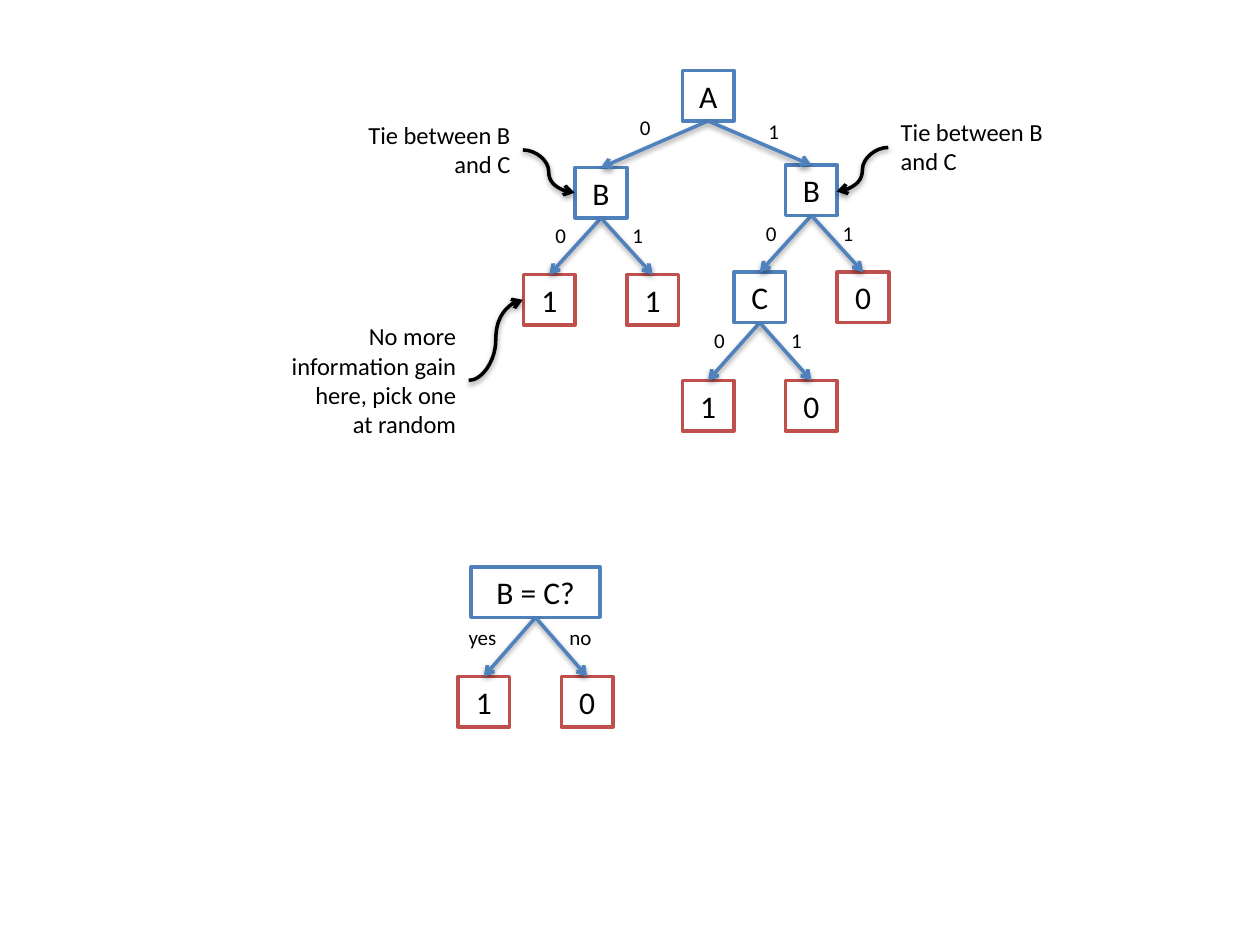
from dataclasses import dataclass
from lxml.etree import SubElement
from pptx import Presentation
from pptx.dml.color import RGBColor
from pptx.enum.shapes import MSO_CONNECTOR, MSO_SHAPE
from pptx.enum.text import MSO_ANCHOR, PP_ALIGN
from pptx.oxml.ns import qn
from pptx.util import Inches, Pt


@dataclass(frozen=True)
class Theme:
    """Colours, type sizes and common measures in points and inches."""
    font: str = "Calibri"
    ink: RGBColor = RGBColor(0, 0, 0)
    paper: RGBColor = RGBColor(255, 255, 255)
    split: RGBColor = RGBColor(0x4F, 0x81, 0xBD)
    leaf: RGBColor = RGBColor(0xC0, 0x50, 0x4D)
    node_size: int = 18
    note_size: int = 14
    label_size: int = 12
    stroke: int = 2
    node_width: float = 0.41
    node_height: float = 0.4


class TreeSlide:
    """Draws decision trees on one slide."""

    def __init__(self, slide, theme):
        """Keep the slide and its style."""
        self.shapes = slide.shapes
        self.theme = theme

    def fill_text(self, frame, text, size, align, anchor):
        """Fill a text frame with one styled paragraph."""
        for name, value in {"word_wrap": True, "vertical_anchor": anchor}.items():
            setattr(frame, name, value)
        paragraph = frame.paragraphs[0]
        paragraph.alignment = align
        run = paragraph.add_run()
        run.text = text
        for name, value in {"name": self.theme.font, "size": Pt(size)}.items():
            setattr(run.font, name, value)
        run.font.color.rgb = self.theme.ink

    def node(self, text, center, top, color, width=None):
        """Add a boxed tree node, centred horizontally on a point."""
        width = width or self.theme.node_width
        box = self.shapes.add_shape(
            MSO_SHAPE.RECTANGLE, Inches(center - width / 2), Inches(top),
            Inches(width), Inches(self.theme.node_height))
        box.shadow.inherit = False
        box.fill.solid()
        box.fill.fore_color.rgb = self.theme.paper
        box.line.color.rgb = color
        box.line.width = Pt(self.theme.stroke)
        self.fill_text(box.text_frame, text, self.theme.node_size,
                       PP_ALIGN.CENTER, MSO_ANCHOR.MIDDLE)
        return box

    def split(self, text, center, top, width=None):
        """Add a node that tests a variable."""
        return self.node(text, center, top, self.theme.split, width)

    def leaf(self, text, center, top):
        """Add a node that gives a result."""
        return self.node(text, center, top, self.theme.leaf)

    def text(self, text, left, top, width, height, size, align=PP_ALIGN.LEFT):
        """Add a wrapped text box."""
        box = self.shapes.add_textbox(*map(Inches, (left, top, width, height)))
        self.fill_text(box.text_frame, text, size, align, MSO_ANCHOR.TOP)

    def note(self, text, left, top, height, align):
        """Add a remark beside the tree."""
        self.text(text, left, top, 1.51, height, self.theme.note_size, align)

    def arrow(self, kind, start, end, color):
        """Add a shadowed arrow between two points."""
        line = self.shapes.add_connector(kind, *map(Inches, (*start, *end)))
        line.line.color.rgb = color
        line.line.width = Pt(self.theme.stroke)
        properties = line._element.spPr
        SubElement(properties.find(qn("a:ln")), qn("a:tailEnd"), type="arrow")
        effects = SubElement(properties, qn("a:effectLst"))
        shadow = SubElement(effects, qn("a:outerShdw"), blurRad="40000",
                            dist="20000", dir="5400000", rotWithShape="0")
        black = SubElement(shadow, qn("a:srgbClr"), val="000000")
        SubElement(black, qn("a:alpha"), val="38000")
        return line

    def pointer(self, start, end):
        """Add a curved arrow from a note to a node."""
        self.arrow(MSO_CONNECTOR.CURVE, start, end, self.theme.ink)

    def branch(self, parent, children, labels=("0", "1"),
               offsets=((-0.46, -0.01), (0.15, -0.01)), width=0.23):
        """Join a parent to its children and label both edges."""
        center = (parent.left + parent.width / 2) / Inches(1)
        bottom = (parent.top + parent.height) / Inches(1)
        for child, label, (dx, dy) in zip(children, labels, offsets):
            edge = self.arrow(MSO_CONNECTOR.STRAIGHT, (0, 0), (1, 1), self.theme.split)
            edge.begin_connect(parent, 2)
            edge.end_connect(child, 0)
            self.text(label, center + dx, bottom + dy, width, 0.3, self.theme.label_size)


def draw_full_tree(tree):
    """Draw the tree that splits on A, then B, then C."""
    step = 0.41
    left, right = 4.77, 6.44
    root = tree.split("A", 5.62, 0.56)
    left_b = tree.split("B", left, 1.33)
    right_b = tree.split("B", right, 1.31)
    c = tree.split("C", right - step, 2.16)
    left_leaves = [tree.leaf("1", left + side * step, 2.18) for side in (-1, 1)]
    zero = tree.leaf("0", right + step, 2.16)
    c_leaves = [tree.leaf(value, right - step + side * step, 3.02)
                for value, side in (("1", -1), ("0", 1))]
    tree.branch(root, (left_b, right_b), offsets=((-0.64, -0.1), (0.38, -0.07)))
    for parent, children in ((left_b, left_leaves), (right_b, (c, zero)), (c, c_leaves)):
        tree.branch(parent, children)


def draw_notes(tree):
    """Add the remarks and their pointers."""
    tie = "Tie between B and C"
    tree.note(tie, 7.05, 0.88, 0.57, PP_ALIGN.LEFT)
    tree.note(tie, 2.64, 0.9, 0.57, PP_ALIGN.RIGHT)
    tree.note("No more information gain here, pick one at random",
              2.21, 2.5, 1.04, PP_ALIGN.RIGHT)
    tree.pointer((3.72, 3.02), (4.15, 2.38))
    tree.pointer((4.15, 1.19), (4.56, 1.53))
    tree.pointer((7.05, 1.17), (6.64, 1.52))


def draw_short_tree(tree):
    """Draw the tree with a single test."""
    center = 4.25
    test = tree.split("B = C?", center, 4.5, 1.02)
    leaves = [tree.leaf(value, center + dx, 5.37) for value, dx in (("1", -0.41), ("0", 0.41))]
    tree.branch(test, leaves, ("yes", "no"), ((-0.63, 0.01), (0.17, 0.01)), 0.55)


def main():
    """Build and save the slide."""
    deck = Presentation()
    deck.slide_width, deck.slide_height = Inches(10), Inches(7.5)
    tree = TreeSlide(deck.slides.add_slide(deck.slide_layouts[6]), Theme())
    draw_full_tree(tree)
    draw_notes(tree)
    draw_short_tree(tree)
    deck.save("out.pptx")


main()
